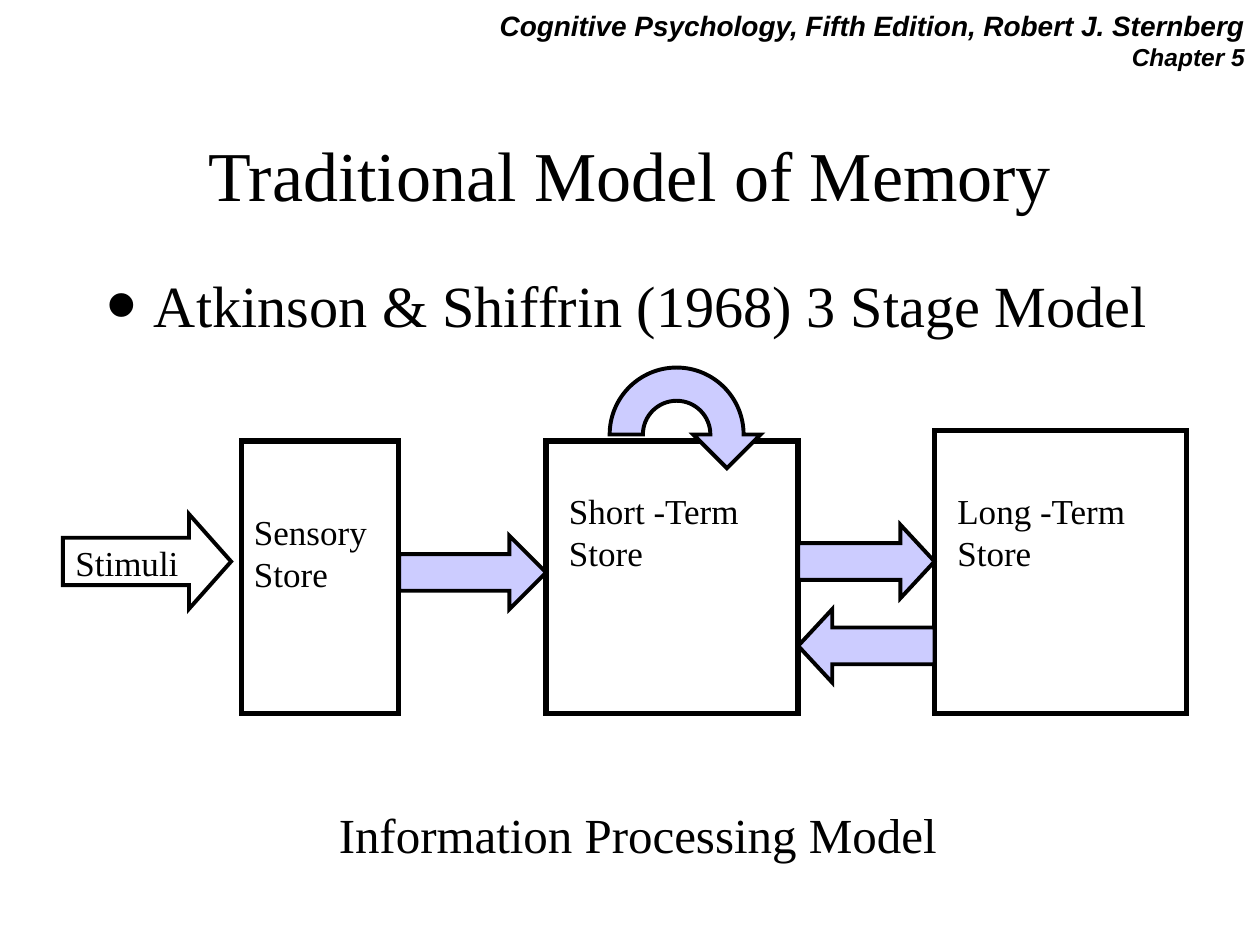
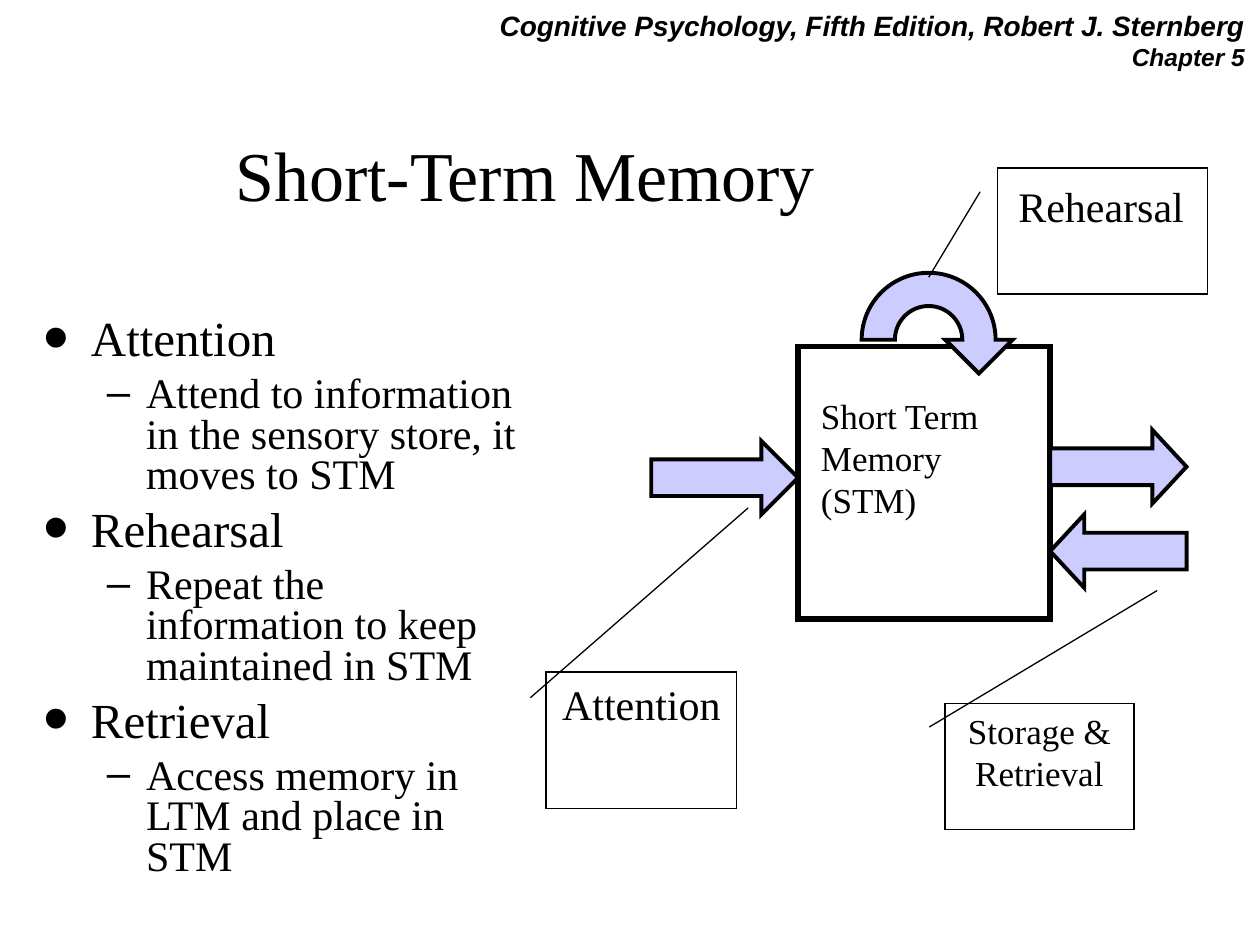
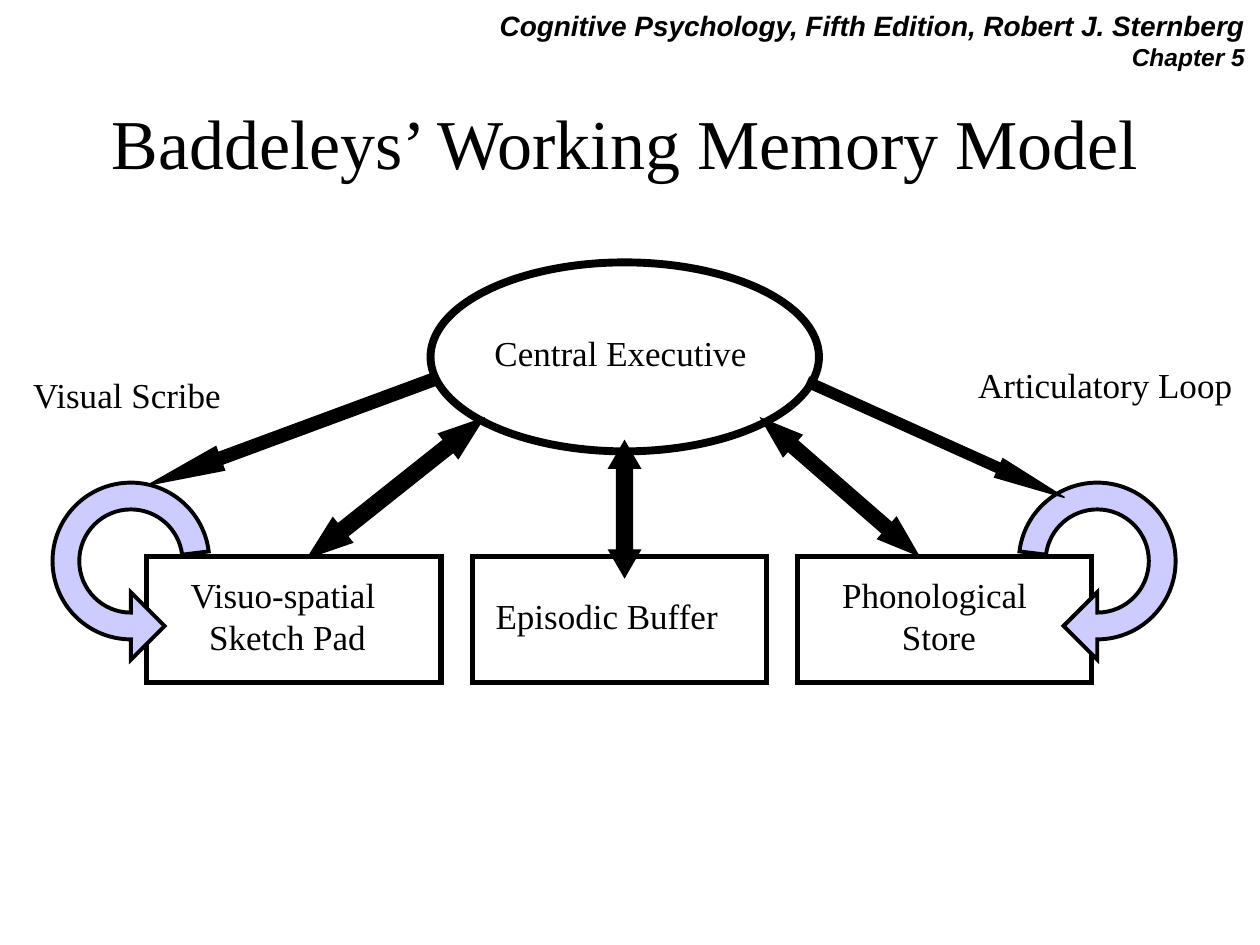
from itertools import pairwise
from math import atan2, cos, degrees, hypot, radians, sin, tan

from lxml.etree import SubElement
from pptx import Presentation
from pptx.dml.color import RGBColor
from pptx.enum.shapes import MSO_SHAPE
from pptx.enum.text import MSO_ANCHOR, MSO_AUTO_SIZE, PP_ALIGN
from pptx.oxml.ns import qn
from pptx.util import Cm, Pt

# Shared style
BLACK, WHITE, LILAC = "000000", "FFFFFF", "CCCCFF"
SERIF, SANS = "Times New Roman", "Arial"
LEFT, CENTER, RIGHT = PP_ALIGN.LEFT, PP_ALIGN.CENTER, PP_ALIGN.RIGHT
HEAD = 0.68  # length and half width of the head on curved arrows
STORE_SIZE = (5.08, 5.5)

# Content; every place is in centimetres
HEADER = [("Cognitive Psychology, Fifth Edition, Robert J. Sternberg", 16),
          ("Chapter 5", 14)]
HEADER_AREA = (0.15, 0.05, 25.2, 1.7)

TRADITIONAL = {
    "title": ("Traditional Model of Memory", (1.9, 2.96, 21.59, 1.06)),
    "points": [("Atkinson & Shiffrin (1968) 3 Stage Model", 0, 33.3)],
    "points_area": (1.9, 5.29, 21.59, 2.12),
    "sensory_store": (4.87, 8.89, 3.17, 5.5),
    "long_term_store": (18.84, 8.68, 5.08, 5.71),
    "short_term_store": (11.01, 8.89, ["Short -Term", "Store"]),
    "stimuli_arrow": ((1.27, 11.32), (4.66, 11.32), 1.91, 0.444),
    "labels": [
        (["Information Processing Model"], (6.58, 16.09, 12.8, 1.45),
         {"size": 28, "wrap": False}),
        (["Stimuli"], (1.27, 10.8, 3.43, 1.12), {}),
        (["Sensory Store"], (4.87, 10.16, 3.18, 1.96), {}),
        (["Long -Term", "Store"], (19.05, 9.74, 4.65, 2.79), {}),
    ],
}

SHORT_TERM = {
    "title": ("Short-Term Memory", (2.54, 2.96, 16.09, 1.06)),
    "points": [
        ("Attention", 0, 28),
        ("Attend to information in the sensory store, it moves to STM", 1, 24),
        ("Rehearsal", 0, 28),
        ("Repeat the information to keep maintained in STM", 1, 24),
        ("Retrieval", 0, 28),
        ("Access memory in LTM and place in STM", 1, 24),
    ],
    "points_area": (0.63, 4.87, 10.16, 13.12),
    "short_term_store": (16.09, 6.98, ["Short Term", "Memory (STM)"]),
    "callouts": [
        ([], (20.11, 3.39, 4.23, 2.54), (0.188, -0.083, 0.866, -0.328), 24),
        (["Attention"], (11.01, 13.55, 3.84, 2.75), (0.188, -0.083, -1.204, 1.061), 24),
        (["Storage & Retrieval"], (19.05, 14.18, 3.81, 2.54),
         (0.188, -0.083, -0.896, 1.123), 20),
    ],
    "labels": [(["Rehearsal"], (20.28, 3.51, 3.84, 1.27), {"size": 24, "wrap": False})],
}

WORKING = {
    "title": ("Baddeleys’ Working Memory Model", (0.85, 2.33, 23.5, 1.06)),
    "executive": (8.68, 5.29, 7.83, 3.81),
    "buffers": {"first": (2.96, 11.22), "size": (5.93, 2.54), "step": 6.56, "count": 3},
    "labels": [
        (["Central Executive"], (9.31, 6.56, 6.4, 1.12), {"align": CENTER}),
        (["Visuo-spatial ", "Sketch Pad"], (3.18, 11.43, 5.23, 1.96), {"align": CENTER}),
        (["Episodic Buffer"], (9.74, 11.85, 5.5, 1.12), {}),
        (["Phonological ", "Store"], (16.72, 11.43, 4.42, 1.96),
         {"align": CENTER, "wrap": False}),
        (["Articulatory Loop"], (19.47, 7.2, 5.92, 1.12), {}),
        (["Visual Scribe"], (0.42, 7.41, 4.34, 1.12), {"wrap": False}),
    ],
    # centre, start angle, end angle
    "loops": [((2.64, 11.31), 7, 270), ((22.12, 11.31), 173, -90)],
    # from, to, thickness, head ratio, two-headed
    "links": [
        ((8.74, 7.65), (2.98, 9.78), 0.51, 3.051, False),
        ((16.28, 7.7), (21.46, 10.03), 0.41, 3.546, False),
        ((12.59, 8.89), (12.59, 11.64), 0.64, 0.863, True),
        ((18.52, 11.2), (15.34, 8.43), 0.58, 1.458, True),
        ((6.2, 11.25), (9.75, 8.43), 0.64, 1.416, True),
    ],
}


def rgb(color):
    return RGBColor.from_string(color)


def cm(*lengths):
    return [Cm(length) for length in lengths]


# Text
def style(paragraph, size=20, font=SERIF, color=BLACK, bold=False, italic=False,
          align=LEFT):
    paragraph.alignment = align
    paragraph.font.name = font
    paragraph.font.size = Pt(size)
    paragraph.font.color.rgb = rgb(color)
    paragraph.font.bold = bold
    paragraph.font.italic = italic


def write(shape, lines, wrap=True, anchor=MSO_ANCHOR.TOP, **text_format):
    frame = shape.text_frame
    frame.text = "\n".join(lines)
    frame.word_wrap = wrap
    frame.auto_size = MSO_AUTO_SIZE.NONE
    frame.vertical_anchor = anchor
    for paragraph in frame.paragraphs:
        style(paragraph, **text_format)
    return frame


def add_label(slide, lines, area, **text_format):
    label = slide.shapes.add_textbox(*cm(*area))
    write(label, lines, **text_format)
    return label


def add_labels(slide, labels):
    for lines, area, text_format in labels:
        add_label(slide, lines, area, **text_format)


def place(placeholder, area):
    (placeholder.left, placeholder.top,
     placeholder.width, placeholder.height) = cm(*area)


def set_title(slide, text, area):
    place(slide.shapes.title, area)
    write(slide.shapes.title, [text], anchor=MSO_ANCHOR.MIDDLE, size=40, align=CENTER)


def add_bullet(paragraph, level):
    mark, percent, margin, indent = [("•", 150, 0.95, -0.95), ("–", 100, 2.06, -0.79)][level]
    properties = paragraph._p.get_or_add_pPr()
    properties.set("marL", str(Cm(margin)))
    properties.set("indent", str(Cm(indent)))
    SubElement(SubElement(properties, qn("a:buClr")), qn("a:srgbClr"), val=BLACK)
    SubElement(properties, qn("a:buSzPct"), val=str(percent * 1000))
    SubElement(properties, qn("a:buFont"), typeface=SANS)
    SubElement(properties, qn("a:buChar"), char=mark)


def set_points(slide, points, area, line_spacing=1.0, margin_top=0.13):
    body = slide.placeholders[1]
    place(body, area)
    frame = write(body, [text for text, _, _ in points])
    frame.margin_top = Cm(margin_top)
    for number, (paragraph, (_, level, size)) in enumerate(zip(frame.paragraphs, points)):
        paragraph.level = level
        add_bullet(paragraph, level)
        paragraph.line_spacing = line_spacing
        paragraph.space_before = Pt((7, 6)[level] if number else 0)
        style(paragraph, size=size)


# Shapes
def paint(shape, fill=None, line_width=3.0):
    shape.shadow.inherit = False
    if fill:
        shape.fill.solid()
        shape.fill.fore_color.rgb = rgb(fill)
    else:
        shape.fill.background()
    shape.line.color.rgb = rgb(BLACK)
    shape.line.width = Pt(line_width)
    SubElement(shape.element.spPr.find(qn("a:ln")), qn("a:miter"), lim="800000")


def add_outline(slide, kind, area, line_width=3.0):
    outline = slide.shapes.add_shape(kind, *cm(*area))
    paint(outline, line_width=line_width)
    return outline


def add_block_arrow(slide, start, end, thickness, head, fill=LILAC, line_width=2.25,
                    two_headed=False):
    dx, dy = end[0] - start[0], end[1] - start[1]
    length = hypot(dx, dy)
    left = (start[0] + end[0] - length) / 2
    top = (start[1] + end[1] - thickness) / 2
    kind = MSO_SHAPE.LEFT_RIGHT_ARROW if two_headed else MSO_SHAPE.RIGHT_ARROW
    arrow = slide.shapes.add_shape(kind, *cm(left, top, length, thickness))
    arrow.adjustments[0], arrow.adjustments[1] = 0.5, head
    arrow.rotation = degrees(atan2(dy, dx))
    paint(arrow, fill, line_width)


def bend(shape, firsts):
    """Turn each run of three line segments from these indexes into one curve."""
    lines = list(shape.element.iter(qn("a:lnTo")))
    for first in firsts:
        curve, *others = lines[first:first + 3]
        for line in others:
            curve.append(line[0])
            line.getparent().remove(line)
        curve.tag = qn("a:cubicBezTo")


def add_curved_arrow(slide, center, inner, outer, start, end):
    """Ring section from start to end angle, with a head along its last tangent."""
    def at(radius, angle, along=0.0):
        turn = radians(angle)
        return (Cm(center[0] + radius * cos(turn) - along * sin(turn)),
                Cm(center[1] - radius * sin(turn) - along * cos(turn)))

    def arc(radius, stops):
        points = []
        for a, b in pairwise(stops):
            reach = radius * 4 / 3 * tan(radians(b - a) / 4)
            points += [at(radius, a, reach), at(radius, b, -reach), at(radius, b)]
        return points

    low, high = sorted((start, end))
    quarters = [angle for angle in range(-90, 361, 90) if low < angle < high]
    stops = sorted([low, *quarters, high], reverse=end < start)
    middle = (inner + outer) / 2
    tip = HEAD if end > start else -HEAD
    outside, inside = arc(outer, stops), arc(inner, stops[::-1])
    head = [at(middle + HEAD, end), at(middle, end, tip), at(middle - HEAD, end),
            at(inner, end)]
    builder = slide.shapes.build_freeform(*at(outer, start))
    builder.add_line_segments(outside + head + inside, close=True)
    arrow = builder.convert_to_shape()
    back = len(outside) + len(head)
    bend(arrow, [*range(0, len(outside), 3), *range(back, back + len(inside), 3)])
    paint(arrow, LILAC, 2.25)


def add_short_term_store(slide, left, top, lines):
    """Store box with its arrows in, out, back and around."""
    width, height = STORE_SIZE
    right = left + width
    add_outline(slide, MSO_SHAPE.RECTANGLE, (left, top, width, height))
    for x1, x2, y, head in [(left - 2.96, left, 2.65, 0.5),
                            (right, right + 2.75, 2.43, 0.464),
                            (right + 2.75, right, 4.13, 0.464)]:
        add_block_arrow(slide, (x1, top + y), (x2, top + y), 1.48, head)
    add_label(slide, lines, (left + 0.21, top + 0.85, 4.66, 4.5))
    add_curved_arrow(slide, (left + 2.63, top - 0.13), 0.68, 1.35, 180, 0)


# Slides
def add_header(prs, slide):
    """Put the running header on the slide master."""
    header = add_label(slide, [text for text, _ in HEADER], HEADER_AREA)
    for paragraph, (_, size) in zip(header.text_frame.paragraphs, HEADER):
        style(paragraph, size=size, font=SANS, bold=True, italic=True, align=RIGHT)
    header.element.nvSpPr.cNvPr.set("id", "20")
    prs.slide_master.shapes.element.append(header.element)


def build_traditional(slide):
    content = TRADITIONAL
    set_title(slide, *content["title"])
    set_points(slide, content["points"], content["points_area"])
    for store in ("sensory_store", "long_term_store"):
        add_outline(slide, MSO_SHAPE.RECTANGLE, content[store])
    add_block_arrow(slide, *content["stimuli_arrow"], fill=WHITE)
    add_short_term_store(slide, *content["short_term_store"])
    add_labels(slide, content["labels"])


def build_short_term(slide):
    content = SHORT_TERM
    set_title(slide, *content["title"])
    set_points(slide, content["points"], content["points_area"], line_spacing=0.8,
               margin_top=1.56)
    add_short_term_store(slide, *content["short_term_store"])
    for lines, area, pointer, size in content["callouts"]:
        callout = add_outline(slide, MSO_SHAPE.LINE_CALLOUT_1, area, 0.75)
        for index, value in enumerate(pointer):
            callout.adjustments[index] = value
        if lines:
            write(callout, lines, size=size, align=CENTER)
    add_labels(slide, content["labels"])


def build_working(slide):
    content = WORKING
    set_title(slide, *content["title"])
    add_outline(slide, MSO_SHAPE.OVAL, content["executive"], 4.5)
    buffers = content["buffers"]
    left, top = buffers["first"]
    for number in range(buffers["count"]):
        area = (left + number * buffers["step"], top, *buffers["size"])
        add_outline(slide, MSO_SHAPE.RECTANGLE, area)
    add_labels(slide, content["labels"])
    for center, start, end in content["loops"]:
        add_curved_arrow(slide, center, 1.04, 1.58, start, end)
    for start, end, thickness, head, two_headed in content["links"]:
        add_block_arrow(slide, start, end, thickness, head, fill=BLACK,
                        line_width=0.75, two_headed=two_headed)


def main():
    prs = Presentation()
    prs.slide_width, prs.slide_height = cm(25.4, 19.05)
    title_and_body, title_only = prs.slide_layouts[1], prs.slide_layouts[5]
    pages = [(title_and_body, build_traditional),
             (title_and_body, build_short_term),
             (title_only, build_working)]
    for layout, build in pages:
        build(prs.slides.add_slide(layout))
    add_header(prs, prs.slides[0])
    prs.save("out.pptx")


if __name__ == "__main__":
    main()
